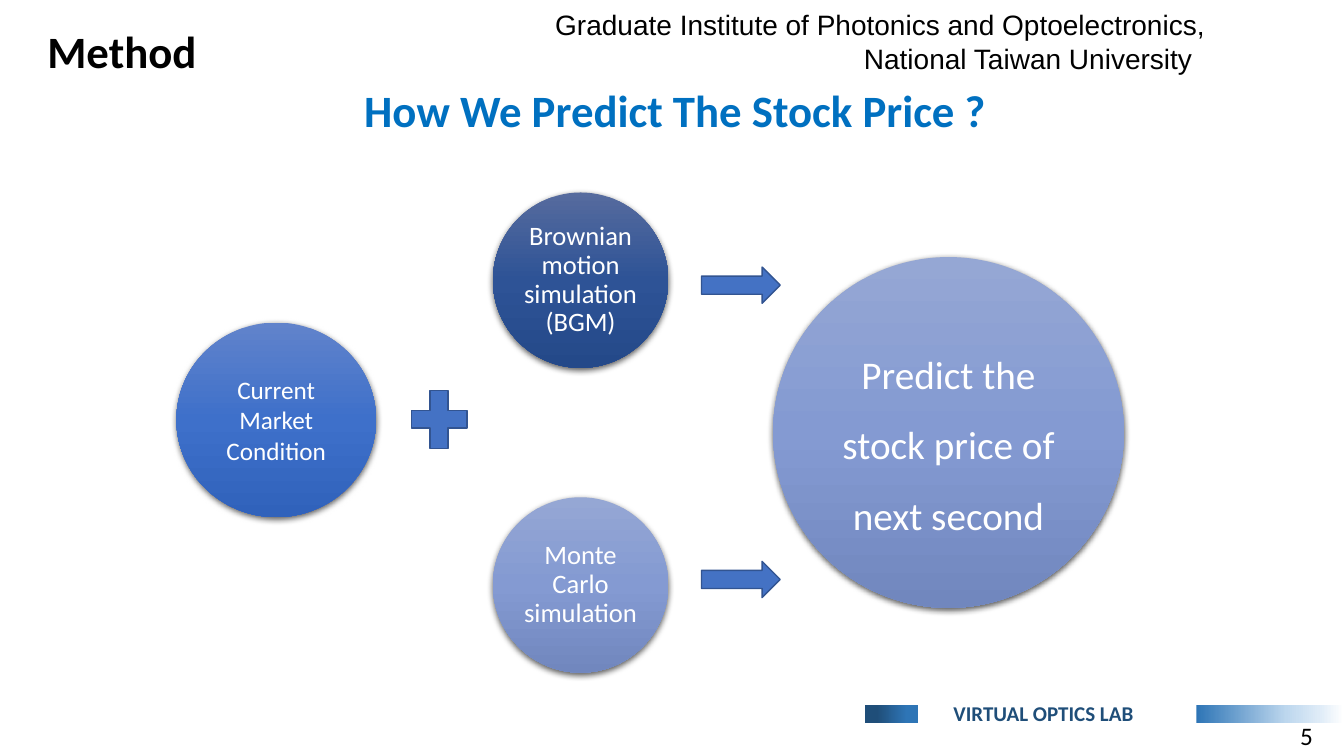
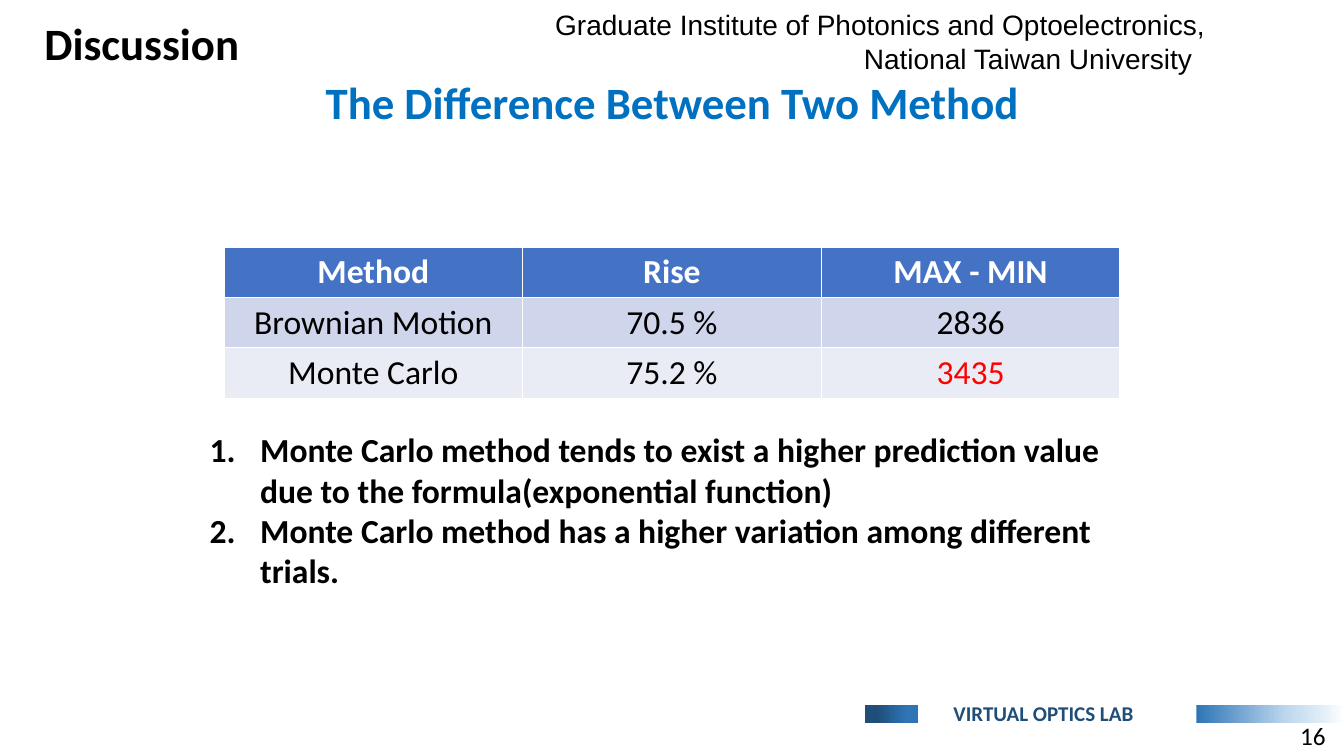
from lxml.etree import SubElement
from pptx import Presentation
from pptx.dml.color import RGBColor
from pptx.enum.shapes import MSO_SHAPE
from pptx.enum.text import MSO_ANCHOR, MSO_AUTO_SIZE, PP_ALIGN
from pptx.oxml.ns import qn
from pptx.util import Pt

BLACK = RGBColor(0x00, 0x00, 0x00)
WHITE = RGBColor(0xFF, 0xFF, 0xFF)
RED = RGBColor(0xFF, 0x00, 0x00)
SKY = RGBColor(0x00, 0x70, 0xC0)
NAVY = RGBColor(0x1F, 0x4E, 0x79)
BLUE = RGBColor(0x44, 0x72, 0xC4)
EDGE = RGBColor(0x32, 0x54, 0x91)
BAND = RGBColor(0xCF, 0xD5, 0xEA)
PALE = RGBColor(0xE9, 0xEB, 0xF5)
MID = RGBColor(0x2E, 0x75, 0xB6)
ICE = RGBColor(0xBD, 0xD7, 0xEE)
MIST = RGBColor(0xDE, 0xEB, 0xF7)
ROYAL = [(0, RGBColor(0x61, 0x83, 0xCB)), (50, RGBColor(0x3E, 0x70, 0xCA)), (100, RGBColor(0x30, 0x62, 0xBB))]
DEEP = [(0, RGBColor(0x56, 0x6B, 0x9E)), (50, RGBColor(0x2E, 0x53, 0x96)), (100, RGBColor(0x24, 0x49, 0x89))]
SOFT = [(0, RGBColor(0x95, 0xA7, 0xD4)), (50, RGBColor(0x84, 0x9A, 0xD2)), (100, RGBColor(0x71, 0x87, 0xBE))]
FADE = [(0, MID), (61, ICE), (83, MIST), (100, WHITE)]
DARK = [(0, NAVY), (23, NAVY), (78, MID), (100, MID)]


def style(para, size, color, bold=False, face="Calibri"):
    for run in para.runs:
        run.font.name = face
        run.font.size = Pt(size)
        run.font.bold = bold
        run.font.color.rgb = color


def blend(shape, stops, angle):
    shape.shadow.inherit = False
    shape.line.fill.background()
    shape.fill.gradient()
    shape.fill.gradient_angle = angle
    ramp = shape.element.spPr.find(qn("a:gradFill")).find(qn("a:gsLst"))
    for old in list(ramp):
        ramp.remove(old)
    for spot, color in stops:
        stop = SubElement(ramp, qn("a:gs"), pos=str(spot * 1000))
        SubElement(stop, qn("a:srgbClr"), val=str(color))


prs = Presentation()
prs.slide_width = Pt(960)
prs.slide_height = Pt(540)
flow = prs.slides.add_slide(prs.slide_layouts[5])
talk = prs.slides.add_slide(prs.slide_layouts[1])

shared = []
for left, top, width, height, text, size, color, bold, face in [
    (389.5, 2, 481, 32, "Graduate Institute of Photonics and Optoelectronics,", 20, BLACK, False, "Arial"),
    (610, 26, 250, 32, "National Taiwan University", 20, BLACK, False, "Arial"),
    (674, 497, 271, 25, "VIRTUAL OPTICS LAB", 15, NAVY, True, "Calibri"),
]:
    box = flow.shapes.add_textbox(Pt(left), Pt(top), Pt(width), Pt(height))
    box.text_frame.word_wrap = True
    box.text_frame.text = text
    style(box.text_frame.paragraphs[0], size, color, bold, face)
    shared.append(box)
for left, width, stops in [(854.6, 105.4, FADE), (617.8, 38.2, DARK)]:
    bar = flow.shapes.add_shape(MSO_SHAPE.RECTANGLE, Pt(left), Pt(503.3), Pt(width), Pt(13))
    blend(bar, stops, 0)
    shared.append(bar)
for mark, part in enumerate(shared, 20):
    part.element.nvSpPr.cNvPr.id = mark
    prs.slide_master.shapes.element.append(part.element)

for slide, left, top, topic, head, page in [
    (flow, 26.6, 18, "Method", "How We Predict The Stock Price ?", "5"),
    (talk, 24.5, 12.2, "Discussion", "The Difference Between Two Method", "16"),
]:
    title = slide.shapes.title
    title.left, title.top, title.width, title.height = Pt(left), Pt(top), Pt(911.5), Pt(57)
    frame = title.text_frame
    frame.auto_size = MSO_AUTO_SIZE.NONE
    frame.vertical_anchor = MSO_ANCHOR.TOP
    frame.text = topic
    frame.add_paragraph().text = head
    for para, align, gap, color in zip(
        frame.paragraphs, (PP_ALIGN.LEFT, PP_ALIGN.CENTER), (0, 7.5), (BLACK, SKY)
    ):
        para.alignment = align
        para.line_spacing = 0.9
        para.space_before = Pt(gap)
        style(para, 32, color, True)
    box = slide.shapes.add_textbox(Pt(921.6), Pt(511.2), Pt(33), Pt(29))
    box.text_frame.word_wrap = False
    box.text_frame.text = page
    style(box.text_frame.paragraphs[0], 18, BLACK)

for kind, left, top, width, height, stops, text, size, space, side, edge in [
    (MSO_SHAPE.FLOWCHART_CONNECTOR, 126, 230.4, 142.6, 139, ROYAL, "Current Market Condition", 18, 1, 7.2, 3.6),
    (MSO_SHAPE.OVAL, 352.1, 137.5, 125.3, 125.3, DEEP, "Brownian motion simulation (BGM)", 19, 0.9, 2, 2),
    (MSO_SHAPE.OVAL, 352.1, 355.2, 125.3, 125.3, SOFT, "Monte Carlo simulation", 19, 0.9, 2, 2),
    (MSO_SHAPE.OVAL, 552.2, 183.6, 250.6, 250.6, SOFT, "Predict the stock price of next second", 28, 1.5, 3, 3),
]:
    disc = flow.shapes.add_shape(kind, Pt(left), Pt(top), Pt(width), Pt(height))
    blend(disc, stops, 270)
    glow = SubElement(
        disc.element.spPr.find(qn("a:effectLst")), qn("a:outerShdw"),
        blurRad=str(Pt(4.5)), dist=str(Pt(1.5)), dir="5400000", algn="ctr", rotWithShape="0",
    )
    shade = SubElement(glow, qn("a:srgbClr"), val=str(BLACK))
    SubElement(shade, qn("a:alpha"), val="63000")
    frame = disc.text_frame
    frame.word_wrap = True
    frame.vertical_anchor = MSO_ANCHOR.MIDDLE
    frame.margin_left = frame.margin_right = Pt(side)
    frame.margin_top = frame.margin_bottom = Pt(edge)
    frame.text = text
    para = frame.paragraphs[0]
    para.alignment = PP_ALIGN.CENTER
    para.line_spacing = space
    style(para, size, WHITE)

for kind, left, top, width, height in [
    (MSO_SHAPE.MATH_PLUS, 286.6, 271.4, 54, 56.2),
    (MSO_SHAPE.RIGHT_ARROW, 501.1, 190.8, 56.2, 25.9),
    (MSO_SHAPE.RIGHT_ARROW, 501.1, 401, 56.2, 25.9),
]:
    sign = flow.shapes.add_shape(kind, Pt(left), Pt(top), Pt(width), Pt(height))
    sign.shadow.inherit = False
    sign.fill.solid()
    sign.fill.fore_color.rgb = BLUE
    sign.line.color.rgb = EDGE
    sign.line.width = Pt(1)

body = talk.placeholders[1]
body.left, body.top, body.width, body.height = Pt(142.6), Pt(303), Pt(674.6), Pt(124)
frame = body.text_frame
frame.auto_size = MSO_AUTO_SIZE.NONE
frame.text = "Monte Carlo method tends to exist a higher prediction value due to the formula(exponential function)"
frame.add_paragraph().text = "Monte Carlo method has a higher variation among different trials."
for para in frame.paragraphs:
    props = para._p.get_or_add_pPr()
    props.set("marL", str(Pt(36)))
    props.set("indent", str(-Pt(36)))
    SubElement(props, qn("a:buFontTx"))
    SubElement(props, qn("a:buAutoNum"), type="arabicPeriod")
    para.space_before = Pt(0)
    style(para, 24, BLACK, True)

rows = [
    ("Method", "Rise", "MAX - MIN"),
    ("Brownian Motion", "70.5 %", "2836"),
    ("Monte Carlo", "75.2 %", "3435"),
]
grid = talk.shapes.add_table(3, 3, Pt(160), Pt(176.4), Pt(640), Pt(108)).table
for r, (row, fill) in enumerate(zip(rows, (BLUE, BAND, PALE))):
    for c, text in enumerate(row):
        cell = grid.cell(r, c)
        cell.fill.solid()
        cell.fill.fore_color.rgb = fill
        cell.text_frame.text = text
        para = cell.text_frame.paragraphs[0]
        para.alignment = PP_ALIGN.CENTER
        color = WHITE if r == 0 else RED if text == "3435" else BLACK
        style(para, 24, color, r == 0)

prs.save("out.pptx")
